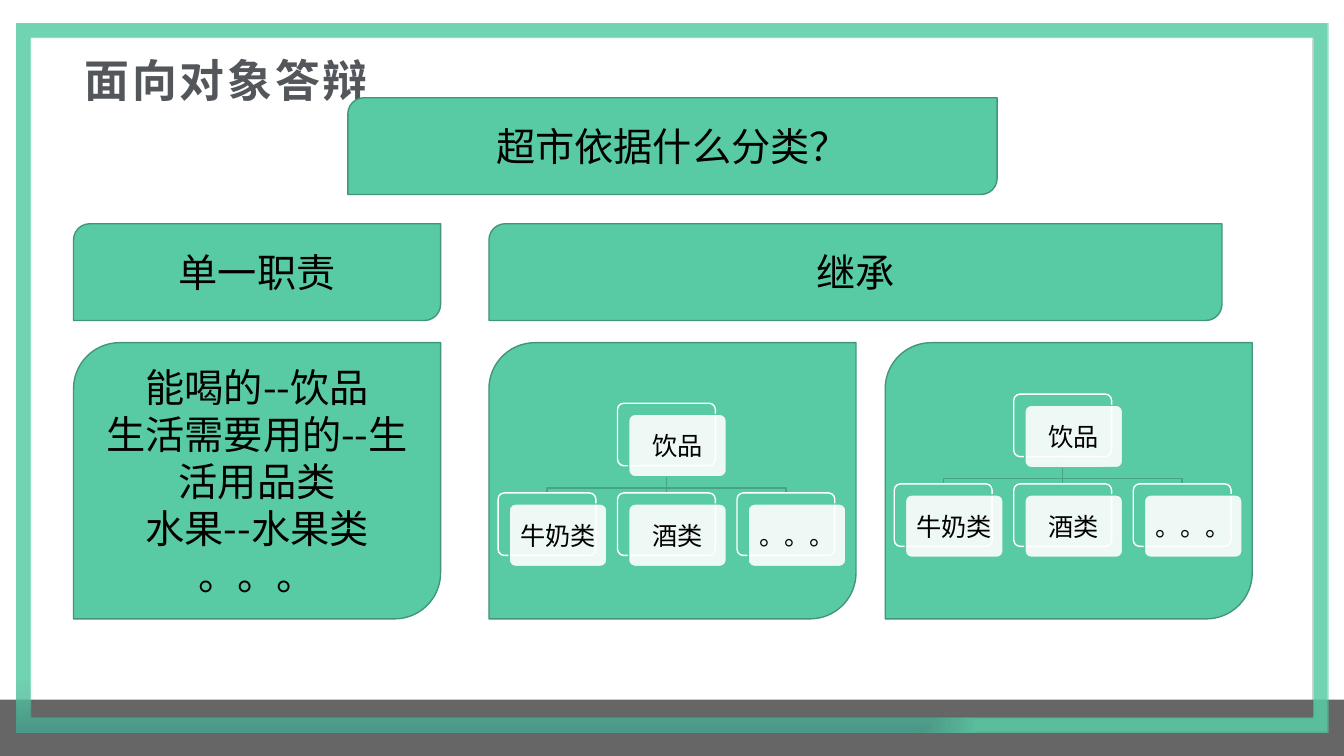
from lxml import etree
from pptx import Presentation
from pptx.dml.color import RGBColor
from pptx.enum.shapes import MSO_CONNECTOR, MSO_SHAPE
from pptx.enum.text import MSO_ANCHOR, PP_ALIGN
from pptx.oxml import parse_xml
from pptx.oxml.ns import nsdecls, qn
from pptx.util import Inches, Pt

GREEN = RGBColor(0x58, 0xCB, 0xA5)
PANEL_LINE = RGBColor(0x41, 0x96, 0x7A)
TREE_LINE = RGBColor(0x46, 0xA3, 0x84)
WHITE = RGBColor(0xFF, 0xFF, 0xFF)
BLACK = RGBColor(0, 0, 0)
DARK = RGBColor(0x26, 0x26, 0x26)
TITLE_GREY = RGBColor(0x53, 0x57, 0x5C)
RECTANGLE = MSO_SHAPE.RECTANGLE
FRAME = MSO_SHAPE.FRAME
PANEL = MSO_SHAPE.ROUND_2_DIAG_RECTANGLE
CARD = MSO_SHAPE.ROUNDED_RECTANGLE
STRAIGHT = MSO_CONNECTOR.STRAIGHT
CENTER, LEFT = PP_ALIGN.CENTER, PP_ALIGN.LEFT
TOP = MSO_ANCHOR.TOP


def add_block(kind, left, top, width, height, fill=GREEN, line=None, opacity=100):
    block = page.shapes.add_shape(
        kind, Inches(left), Inches(top), Inches(width), Inches(height))
    block.shadow.inherit = False
    block.fill.solid()
    block.fill.fore_color.rgb = fill
    if opacity < 100:
        color = block.fill._xPr.find(qn("a:solidFill"))[0]
        etree.SubElement(color, qn("a:alpha"), val=str(opacity * 1000))
    if line is None:
        block.line.fill.background()
    else:
        block.line.color.rgb = line
        block.line.width = Pt(1)
    return block


def write(box, text, size=28, font="Noto Sans CJK SC", east_font="Noto Sans CJK SC",
          color=BLACK, align=CENTER, bold=False, spacing=None, line_height=None):
    frame = box.text_frame
    frame.word_wrap = True
    frame.text = text
    for para in frame.paragraphs:
        para.alignment = align
        if line_height:
            para.line_spacing = Pt(line_height)
        for span in para.runs:
            span.font.size = Pt(size)
            span.font.name = font
            span.font.bold = bold
            span.font.color.rgb = color
            props = span.font._element
            props.find(qn("a:latin")).addnext(
                parse_xml(f'<a:ea {nsdecls("a")} typeface="{east_font}"/>'))
            if spacing:
                props.set("spc", str(spacing * 100))


deck = Presentation()
deck.slide_width, deck.slide_height = Inches(13.33), Inches(7.5)
page = deck.slides.add_slide(deck.slide_layouts[5])

# Title
title = page.shapes.title
title.left, title.top = Inches(0.73), Inches(0.48)
title.width, title.height = Inches(11.87), Inches(0.48)
title.text_frame.vertical_anchor = TOP
title.text_frame.margin_left, title.text_frame.margin_right = Inches(0.11), Inches(0.08)
title.text_frame.margin_top = title.text_frame.margin_bottom = Inches(0.04)
write(title, "面向对象答辩", size=32, font="Noto Sans CJK JP", east_font="Noto Sans CJK JP",
      color=TITLE_GREY, align=LEFT, bold=True, spacing=2)

# Bottom bar and gradient border
add_block(RECTANGLE, 0, 6.94, 13.33, 0.56, fill=DARK, opacity=70)
border = add_block(FRAME, 0.16, 0.23, 13.02, 7.04)
border.adjustments[0] = 0.15 / 7.04
solid = border.fill._xPr.find(qn("a:solidFill"))
solid.getparent().replace(solid, parse_xml(
    f'<a:gradFill {nsdecls("a")} rotWithShape="1"><a:gsLst>'
    '<a:gs pos="38000"><a:srgbClr val="042E50"><a:alpha val="52000"/></a:srgbClr></a:gs>'
    '<a:gs pos="100000"><a:srgbClr val="58CBA5"><a:alpha val="85000"/></a:srgbClr></a:gs>'
    '</a:gsLst><a:path path="rect"><a:fillToRect t="100000" r="100000"/></a:path>'
    '</a:gradFill>'))

# Question, headings and the list of duties
duties = "能喝的--饮品\n生活需要用的--生活用品类\n水果--水果类\n。。。"
for left, top, width, height, text in [
    (3.45, 0.97, 6.44, 0.96, "超市依据什么分类？"),
    (0.73, 2.22, 3.64, 0.96, "单一职责"),
    (4.85, 2.22, 7.27, 0.96, "继承"),
    (0.73, 3.4, 3.64, 2.74, duties),
]:
    panel = add_block(PANEL, left, top, width, height, line=PANEL_LINE)
    write(panel, text, line_height=33.6 if text == duties else None)

# Two inheritance trees, each on its own panel
CARD_WIDTH, CARD_HEIGHT, CARD_STEP, CARD_SHIFT = 0.97, 0.62, 1.185, 0.11
for panel_left, root_top in [(4.85, 4.0), (8.78, 3.91)]:
    add_block(PANEL, panel_left, 3.4, 3.64, 2.74, line=PANEL_LINE)
    first_left = panel_left + 0.09
    root_left = first_left + CARD_STEP
    child_top = root_top + 0.89
    stem_x = root_left + CARD_WIDTH / 2
    stem_top = root_top + CARD_HEIGHT
    bend_y = child_top - 0.05

    # Branches from the root to its children
    stem = page.shapes.add_connector(
        STRAIGHT, Inches(stem_x), Inches(stem_top), Inches(stem_x), Inches(child_top))
    branches = [stem]
    for side in (-1, 1):
        end_x = stem_x + side * CARD_STEP
        builder = page.shapes.build_freeform(Inches(stem_x), Inches(stem_top))
        builder.add_line_segments(
            [(Inches(x), Inches(y)) for x, y in
             [(stem_x, bend_y), (end_x, bend_y), (end_x, child_top)]], close=False)
        branch = builder.convert_to_shape()
        branch.fill.background()
        branches.append(branch)
    for branch in branches:
        branch.line.color.rgb = TREE_LINE
        branch.line.width = Pt(1)
        etree.SubElement(branch._element.spPr, qn("a:effectLst"))

    # Cards, each with an outlined card behind it
    cards = [(root_left, root_top, "饮品")]
    for index, name in enumerate(["牛奶类", "酒类", "。。。"]):
        cards.append((first_left + index * CARD_STEP, child_top, name))
    for left, top, name in cards:
        back = add_block(CARD, left, top, CARD_WIDTH, CARD_HEIGHT, line=WHITE)
        front = add_block(CARD, left + CARD_SHIFT, top + CARD_SHIFT, CARD_WIDTH,
                          CARD_HEIGHT, fill=WHITE, line=GREEN, opacity=90)
        back.adjustments[0] = front.adjustments[0] = 0.1
        frame = front.text_frame
        frame.margin_left = frame.margin_right = Inches(0.07)
        frame.margin_top = frame.margin_bottom = Inches(0.07)
        write(front, name, size=18, font="Arial")

deck.save("out.pptx")
